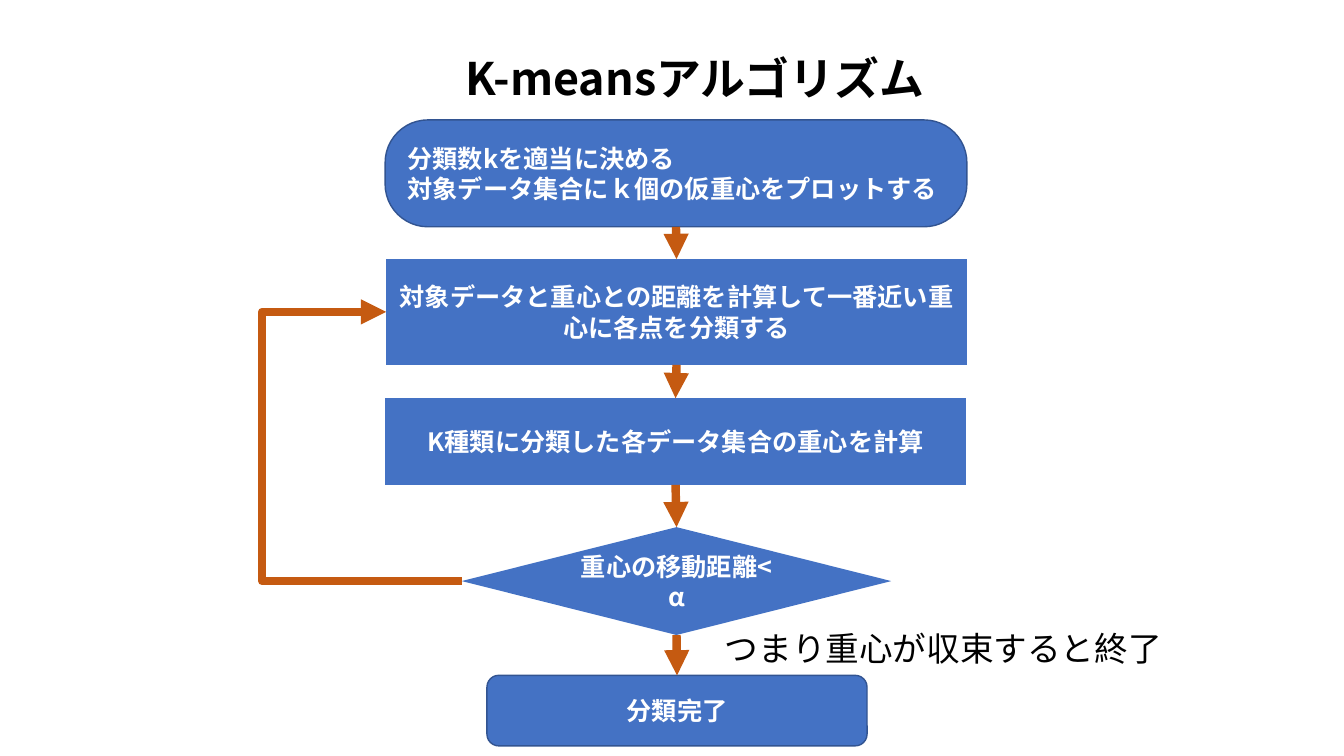
from dataclasses import dataclass

from lxml import etree
from pptx import Presentation
from pptx import util as u
from pptx.dml import color
from pptx.enum import shapes, text
from pptx.oxml import ns


@dataclass(frozen=True)
class Theme:
    fill: str = "4472C4"
    edge: str = "325491"
    arrow: str = "C55A11"
    dark: str = "000000"
    light: str = "FFFFFF"
    font: str = "Noto Sans CJK JP"
    end_font: str = "Calibri"
    title_size: int = 32
    note_size: int = 24
    step_size: int = 18
    arrow_width: int = 6


THEME = Theme()
KIND = shapes.MSO_SHAPE
ALIGN = text.PP_ALIGN
TOP, LEFT, BOTTOM = 0, 1, 2

TITLE = ("K-meansアルゴリズム", (3.31, 0.45, 7.16, 0.64))
NOTE = ("つまり重心が収束すると終了", (7.09, 6.18, 4.58, 0.5))
STEPS = [
    dict(lines=["分類数kを適当に決める", "対象データ集合にｋ個の仮重心をプロットする"],
         kind=KIND.ROUNDED_RECTANGLE, place=(3.82, 1.19, 5.77, 1.06),
         corner=0.4, edge=THEME.edge, align=ALIGN.LEFT),
    dict(lines=["対象データと重心との距離を計算して一番近い重心に各点を分類する"],
         kind=KIND.RECTANGLE, place=(3.83, 2.57, 5.76, 1.05)),
    dict(lines=["K種類に分類した各データ集合の重心を計算"],
         kind=KIND.RECTANGLE, place=(3.82, 3.95, 5.76, 0.86)),
    dict(lines=["重心の移動距離< α"],
         kind=KIND.FLOWCHART_DECISION, place=(4.58, 5.23, 4.26, 1.07)),
    dict(lines=["分類完了"], kind=KIND.ROUNDED_RECTANGLE, place=(4.83, 6.7, 3.77, 0.7),
         edge=THEME.edge, font=THEME.end_font),
]
LOOP_FROM, LOOP_TO, LOOP_X = 3, 1, 2.6


def rgb(value):
    return color.RGBColor.from_string(value)


def write(frame, lines, size, ink, font=THEME.font, bold=False, align=ALIGN.CENTER,
          anchor=text.MSO_ANCHOR.TOP, wrap=True, fit=text.MSO_AUTO_SIZE.NONE):
    frame.word_wrap = wrap
    frame.auto_size = fit
    frame.vertical_anchor = anchor
    for index, line in enumerate(lines):
        para = frame.add_paragraph() if index else frame.paragraphs[0]
        para.alignment = align
        span = para.add_run()
        span.text = line
        span.font.size = u.Pt(size)
        span.font.bold = bold
        span.font.color.rgb = rgb(ink)
        span.font.name = font
        asian = etree.SubElement(span.font._element, ns.qn("a:ea"))
        asian.set("typeface", THEME.font)


def add_step(page, lines, kind, place, corner=None, edge=None,
             align=ALIGN.CENTER, font=THEME.font):
    box = page.shapes.add_shape(kind, *map(u.Inches, place))
    box.shadow.inherit = False
    box.fill.solid()
    box.fill.fore_color.rgb = rgb(THEME.fill)
    if edge:
        box.line.color.rgb = rgb(edge)
        box.line.width = u.Pt(1)
    else:
        box.line.fill.background()
    if corner:
        box.adjustments[0] = corner
    write(box.text_frame, lines, THEME.step_size, THEME.light, font=font, bold=True,
          align=align, anchor=text.MSO_ANCHOR.MIDDLE)
    return box


def add_arrow(page, kind, start, start_side, end, end_side):
    arrow = page.shapes.add_connector(kind, 0, 0, 0, 0)
    arrow.begin_connect(start, start_side)
    arrow.end_connect(end, end_side)
    arrow.line.color.rgb = rgb(THEME.arrow)
    arrow.line.width = u.Pt(THEME.arrow_width)
    etree.SubElement(arrow.line._get_or_add_ln(), ns.qn("a:tailEnd"), type="triangle")
    etree.SubElement(arrow._element.spPr, ns.qn("a:effectLst"))
    return arrow


def bend_at(arrow, x):
    ratio = (u.Inches(x) - arrow.begin_x) / (arrow.end_x - arrow.begin_x)
    geometry = arrow._element.spPr.find(ns.qn("a:prstGeom"))
    guides = geometry.find(ns.qn("a:avLst"))
    if guides is None:
        guides = etree.SubElement(geometry, ns.qn("a:avLst"))
    etree.SubElement(guides, ns.qn("a:gd"), name="adj1", fmla=f"val {round(ratio * 100000)}")


def main():
    deck = Presentation()
    deck.slide_width, deck.slide_height = u.Inches(13.33), u.Inches(7.5)
    page = deck.slides.add_slide(deck.slide_layouts[5])

    wording, place = TITLE
    title = page.shapes.title
    title.left, title.top, title.width, title.height = map(u.Inches, place)
    write(title.text_frame, [wording], THEME.title_size, THEME.dark, bold=True,
          fit=text.MSO_AUTO_SIZE.SHAPE_TO_FIT_TEXT)

    boxes = [add_step(page, **step) for step in STEPS]
    for upper, lower in zip(boxes, boxes[1:]):
        add_arrow(page, shapes.MSO_CONNECTOR.STRAIGHT, upper, BOTTOM, lower, TOP)
    loop = add_arrow(page, shapes.MSO_CONNECTOR.ELBOW,
                     boxes[LOOP_FROM], LEFT, boxes[LOOP_TO], LEFT)
    bend_at(loop, LOOP_X)

    wording, place = NOTE
    note = page.shapes.add_textbox(*map(u.Inches, place))
    write(note.text_frame, [wording], THEME.note_size, THEME.dark, align=ALIGN.LEFT,
          wrap=False, fit=text.MSO_AUTO_SIZE.SHAPE_TO_FIT_TEXT)

    deck.save("out.pptx")


if __name__ == "__main__":
    main()
